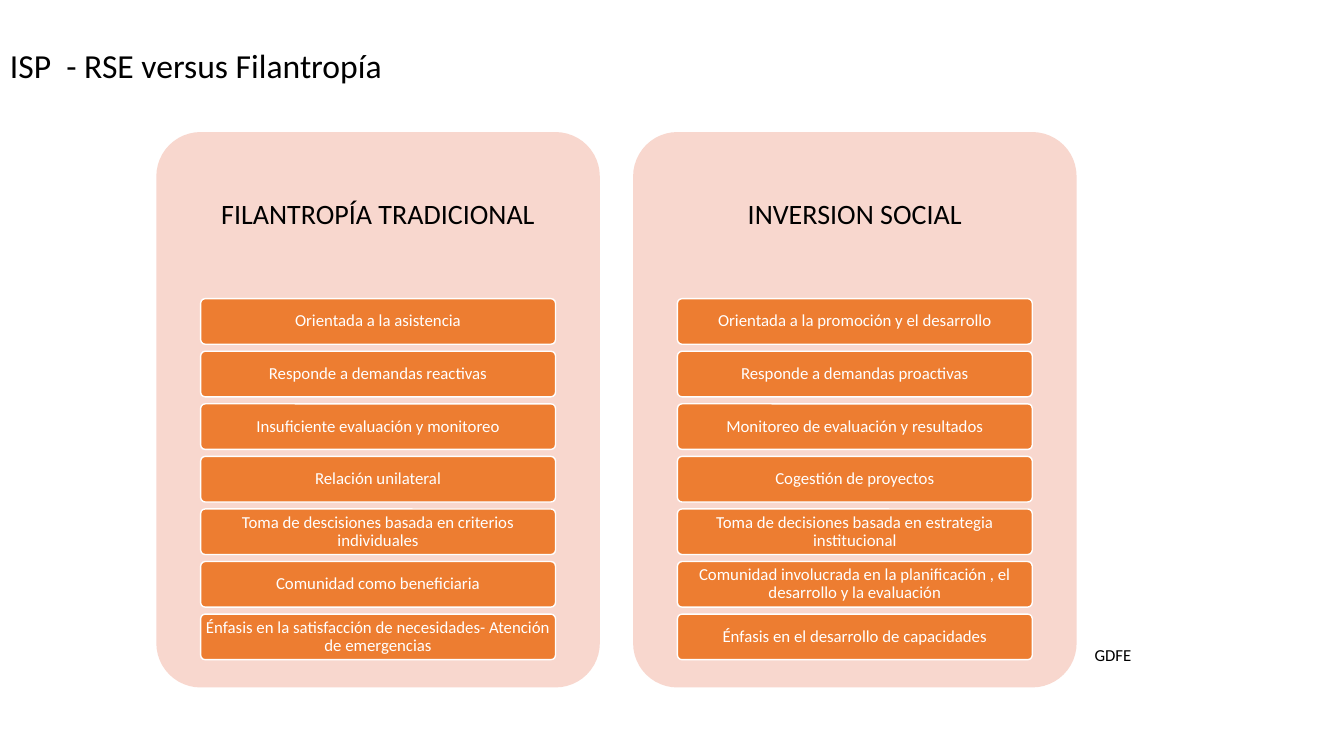
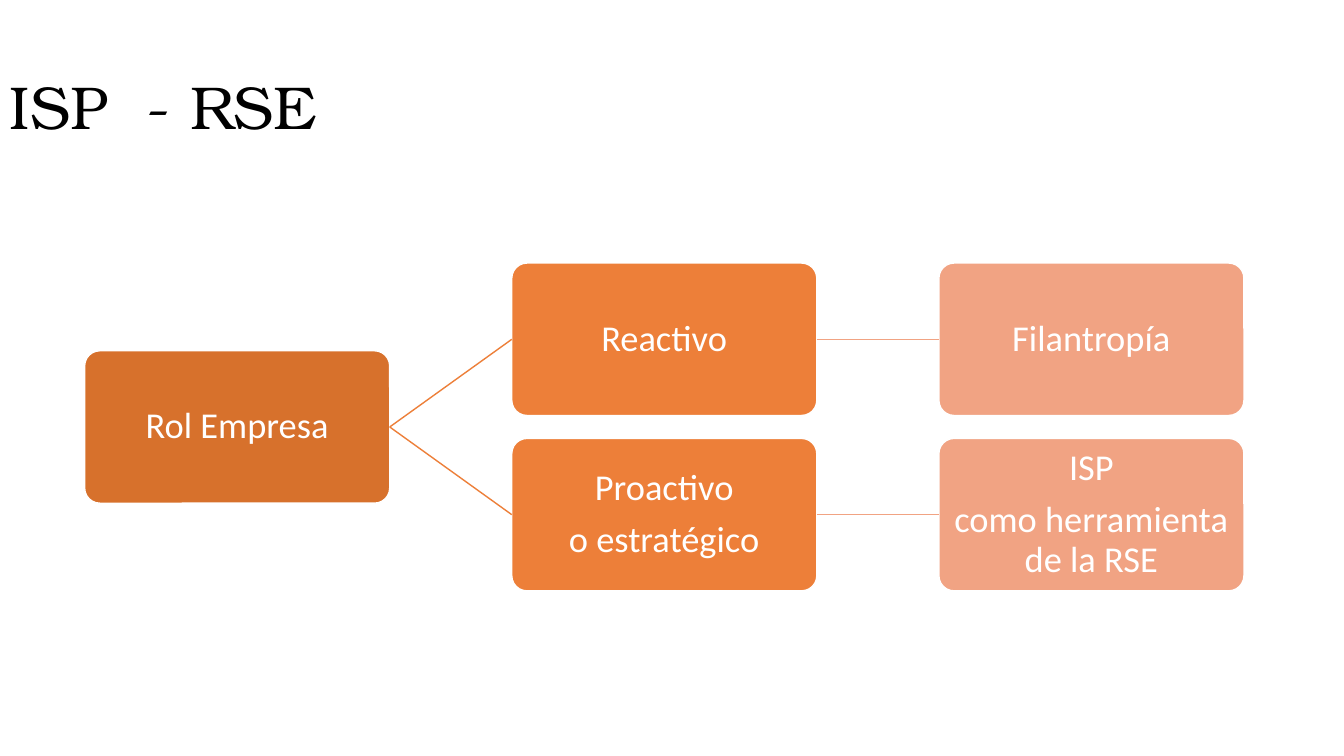
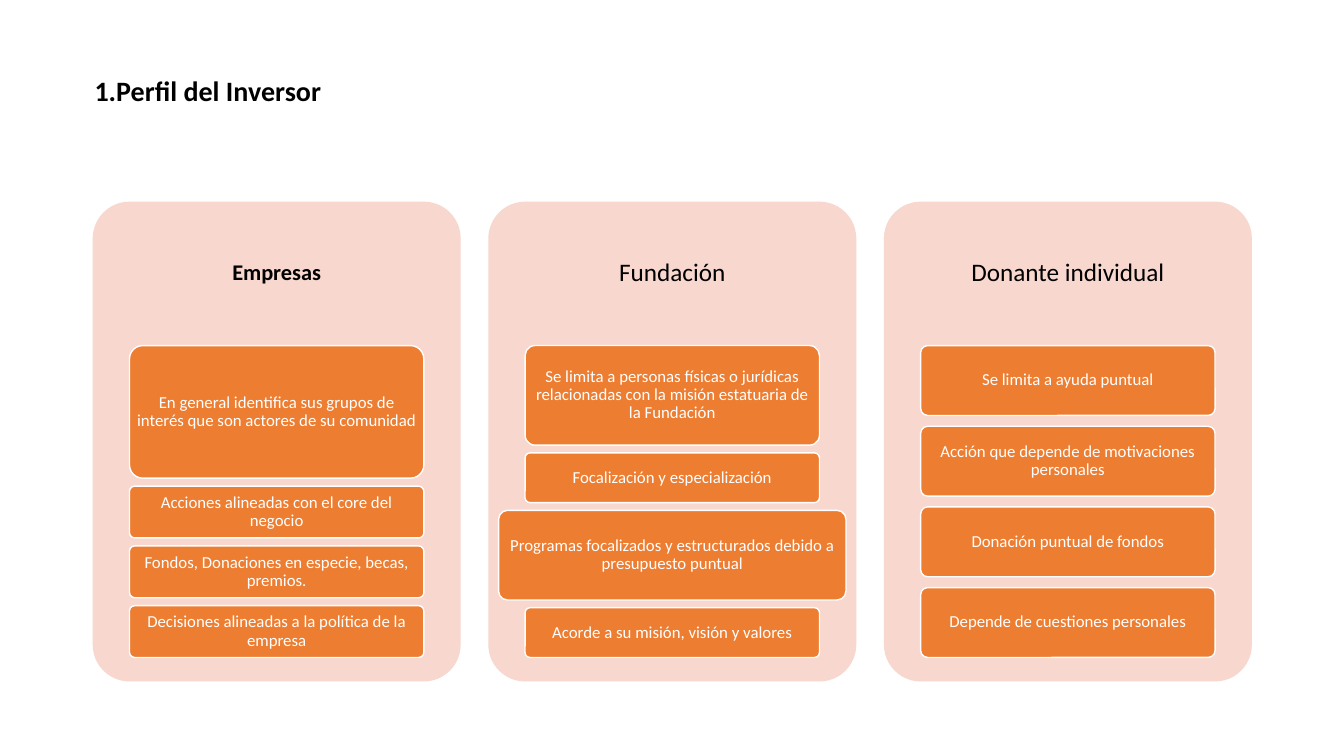
from lxml.etree import SubElement
from pptx import Presentation
from pptx.dml.color import RGBColor
from pptx.enum.shapes import MSO_CONNECTOR, MSO_SHAPE
from pptx.enum.text import MSO_ANCHOR, PP_ALIGN
from pptx.oxml.ns import qn
from pptx.util import Inches, Pt

BLACK = RGBColor(0x00, 0x00, 0x00)
WHITE = RGBColor(0xFF, 0xFF, 0xFF)
PANEL = RGBColor(0xF8, 0xD7, 0xCE)
CARD = RGBColor(0xED, 0x7D, 0x31)
ROOT = RGBColor(0xD7, 0x71, 0x2C)
BRANCH = RGBColor(0xED, 0x7F, 0x39)
LEAF = RGBColor(0xF1, 0xA3, 0x83)


class Deck:
    """Shared style and current slide, on a grid of 100 columns by 100 rows."""

    font = "Calibri"
    panel_gap = 0.075
    card_gap = 0.154
    header_share = 0.3
    cards_share = 0.65
    card_inset = 0.1

    def __init__(self):
        """Open a widescreen presentation."""
        self.presentation = Presentation()
        self.presentation.slide_width = Inches(13.33)
        self.presentation.slide_height = Inches(7.5)
        self.slide = None

    def new_slide(self):
        """Add a blank slide and make it current."""
        self.slide = self.presentation.slides.add_slide(self.presentation.slide_layouts[6])

    def place(self, left, top, width, height):
        """Turn columns and rows into lengths."""
        column = self.presentation.slide_width / 100
        row = self.presentation.slide_height / 100
        return (round(left * column), round(top * row),
                round(width * column), round(height * row))

    def fill_text(self, shape, lines, size, color=BLACK, bold=False, font=font,
                  align=PP_ALIGN.LEFT, anchor=MSO_ANCHOR.TOP, spacing=0.9,
                  inset=None, wrap=True):
        """Fill a shape with one paragraph for each line."""
        frame = shape.text_frame
        frame.word_wrap = wrap
        frame.vertical_anchor = anchor
        if inset is not None:
            frame.margin_left = frame.margin_right = Inches(inset)
            frame.margin_top = frame.margin_bottom = Inches(inset)
        for index, line in enumerate(lines):
            paragraph = frame.add_paragraph() if index else frame.paragraphs[0]
            paragraph.alignment = align
            paragraph.line_spacing = spacing
            if index:
                paragraph.space_before = Pt(size * 0.35)
            run = paragraph.add_run()
            run.text = line
            run.font.name = font
            run.font.size = Pt(size)
            run.font.bold = bold
            run.font.color.rgb = color

    def text(self, box, line, size, **style):
        """Add a text box."""
        shape = self.slide.shapes.add_textbox(*self.place(*box))
        self.fill_text(shape, [line], size, **style)

    def title(self, line, size, top=0, font=font):
        """Add a title that stands on the bottom of its band."""
        self.text((0, top, 67.95, 12), line, size, font=font, anchor=MSO_ANCHOR.BOTTOM)

    def rounded(self, box, fill, line=None):
        """Add a rounded rectangle."""
        shape = self.slide.shapes.add_shape(MSO_SHAPE.ROUNDED_RECTANGLE, *self.place(*box))
        shape.adjustments[0] = 0.1
        shape.shadow.inherit = False
        shape.fill.solid()
        shape.fill.fore_color.rgb = fill
        if line is None:
            shape.line.fill.background()
        else:
            shape.line.color.rgb = line
            shape.line.width = Pt(1)
        return shape

    def node(self, box, fill, lines, size, inset):
        """Add a rounded box with centred white text."""
        shape = self.rounded(box, fill, WHITE)
        self.fill_text(shape, lines, size, WHITE, align=PP_ALIGN.CENTER,
                       anchor=MSO_ANCHOR.MIDDLE, inset=inset)
        return shape

    def connect(self, source, target, color):
        """Connect the right side of one box to the left side of another."""
        connector = self.slide.shapes.add_connector(MSO_CONNECTOR.STRAIGHT, 0, 0, 0, 0)
        connector.begin_connect(source, 3)
        connector.end_connect(target, 1)
        connector.line.color.rgb = color
        connector.line.width = Pt(1)
        SubElement(connector._element.spPr, qn("a:effectLst"))

    def panel(self, box, header, size, cards, bold=False):
        """Add a panel with a header and cards given as text, height and width shares."""
        left, top, width, height = box
        self.rounded(box, PANEL)
        self.text((left, top, width, height * self.header_share), header, size, bold=bold,
                  align=PP_ALIGN.CENTER, anchor=MSO_ANCHOR.MIDDLE, inset=0.08)
        shares = sum(card[1] for card in cards) + self.card_gap * (len(cards) - 1)
        unit = height * self.cards_share / shares
        card_top = top + height * self.header_share
        for line, tall, wide in cards:
            card_width = width * (1 - 2 * self.card_inset) * wide
            card_left = left + (width - card_width) / 2
            self.node((card_left, card_top, card_width, unit * tall), CARD, [line], 12, 0.03)
            card_top += unit * (tall + self.card_gap)

    def panels(self, box, contents):
        """Add a row of equal panels, starting from the first box."""
        left, top, width, height = box
        for index, (header, size, bold, cards) in enumerate(contents):
            panel_left = left + index * width * (1 + self.panel_gap)
            self.panel((panel_left, top, width, height), header, size, cards, bold)


def even(*lines):
    """Give every card the same height and width."""
    return [(line, 1, 1) for line in lines]


def comparison(deck):
    """Compare philanthropy with social investment."""
    deck.new_slide()
    deck.title("ISP  - RSE versus Filantropía", 24)
    deck.panels((11.63, 17.47, 33, 73.47), [
        ("FILANTROPÍA TRADICIONAL", 20, False, even(
            "Orientada a la asistencia",
            "Responde a demandas reactivas",
            "Insuficiente evaluación y monitoreo",
            "Relación unilateral",
            "Toma de descisiones basada en criterios individuales",
            "Comunidad como beneficiaria",
            "Énfasis en la satisfacción de necesidades- Atención de emergencias")),
        ("INVERSION SOCIAL", 20, False, even(
            "Orientada a la promoción y el desarrollo",
            "Responde a demandas proactivas",
            "Monitoreo de evaluación y resultados",
            "Cogestión de proyectos",
            "Toma de decisiones basada en estrategia institucional",
            "Comunidad involucrada en la planificación , el desarrollo y la evaluación",
            "Énfasis en el desarrollo de capacidades")),
    ])
    deck.text((80.7, 84.67, 4.28, 4), "GDFE", 12, spacing=1, wrap=False)


def company_role(deck):
    """Draw the tree of company roles."""
    deck.new_slide()
    left, top, width, height = 6.3, 34.8, 22.7, 20.17

    def role(column, row, fill, *lines):
        """Add one box of the tree."""
        box = (left + column * width * 1.4, top + row * height * 1.15, width, height)
        return deck.node(box, fill, lines, 26, 0.02)

    root = role(0, 0.5, ROOT, "Rol Empresa")
    rows = [
        (["Reactivo"], ["Filantropía"]),
        (["Proactivo", "o estratégico"], ["ISP", "como herramienta de la RSE"]),
    ]
    for row, (branch_lines, leaf_lines) in enumerate(rows):
        branch = role(1, row, BRANCH, *branch_lines)
        leaf = role(2, row, LEAF, *leaf_lines)
        deck.connect(root, branch, BRANCH)
        deck.connect(branch, leaf, LEAF)
    deck.title("ISP  - RSE", 43.2, top=7.47, font="TeX Gyre Bonum")


def investor_profile(deck):
    """Show the three investor profiles."""
    deck.new_slide()
    deck.panels((6.9, 26.67, 27.38, 63.47), [
        ("Empresas", 16, True, [
            ("En general identifica sus grupos de interés que son actores de su comunidad",
             2.56, 1),
            *even("Acciones alineadas con el core del negocio",
                  "Fondos, Donaciones en especie, becas, premios.",
                  "Decisiones alineadas a la política de la empresa")]),
        ("Fundación", 18, False, [
            ("Se limita a personas físicas o jurídicas relacionadas con la misión "
             "estatuaria de la Fundación", 2, 1),
            ("Focalización y especialización", 1, 1),
            ("Programas focalizados y estructurados debido a presupuesto puntual", 1.8, 1.18),
            ("Acorde a su misión, visión y valores", 1, 1)]),
        ("Donante individual", 18, False, even(
            "Se limita a ayuda puntual",
            "Acción que depende de motivaciones personales",
            "Donación puntual de fondos",
            "Depende de cuestiones personales")),
    ])
    deck.text((6.3, 9.07, 19.5, 5.87), "1.Perfil del Inversor", 20, bold=True, spacing=1)


def main():
    """Build and save the slides."""
    deck = Deck()
    comparison(deck)
    company_role(deck)
    investor_profile(deck)
    deck.presentation.save("out.pptx")


if __name__ == "__main__":
    main()
